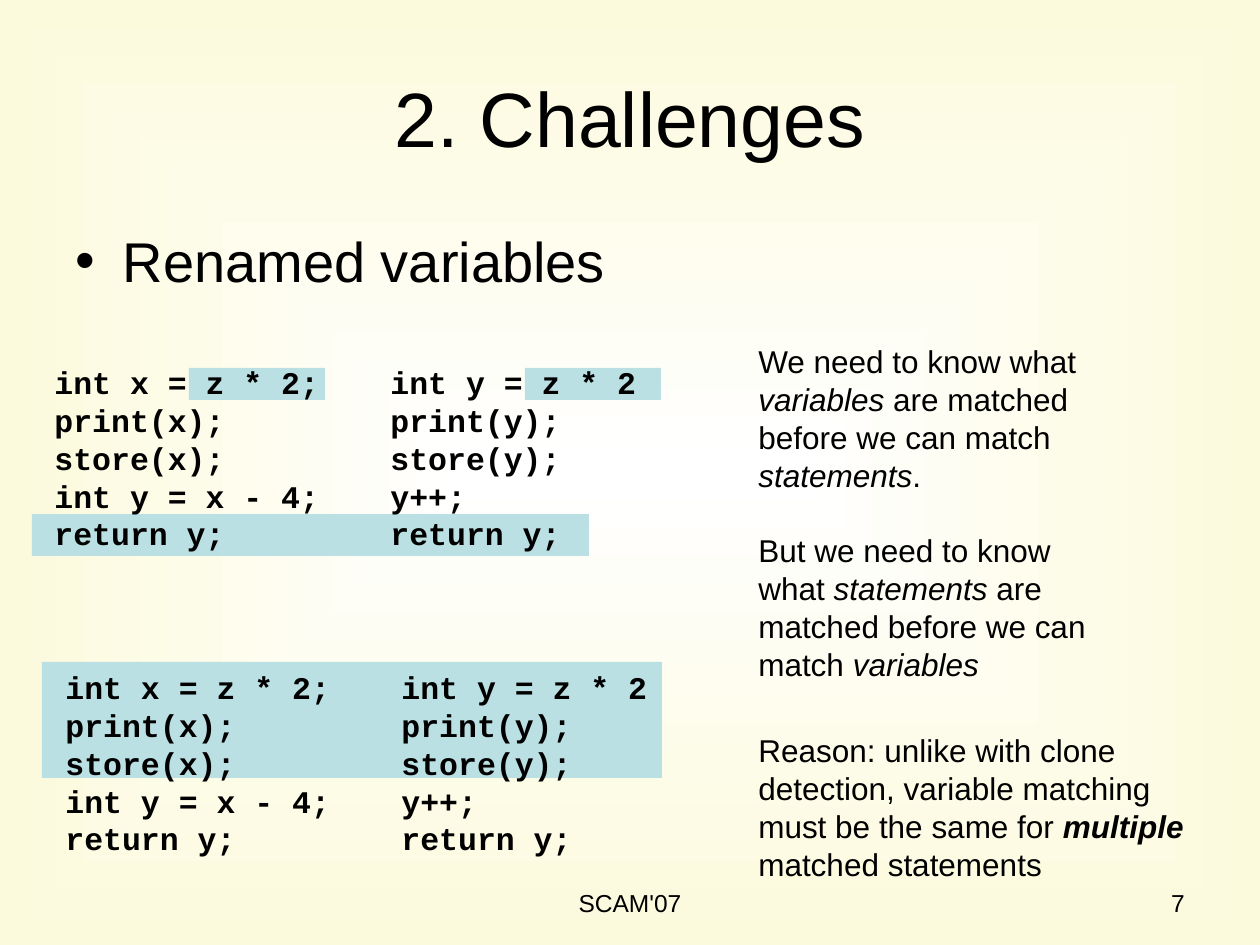
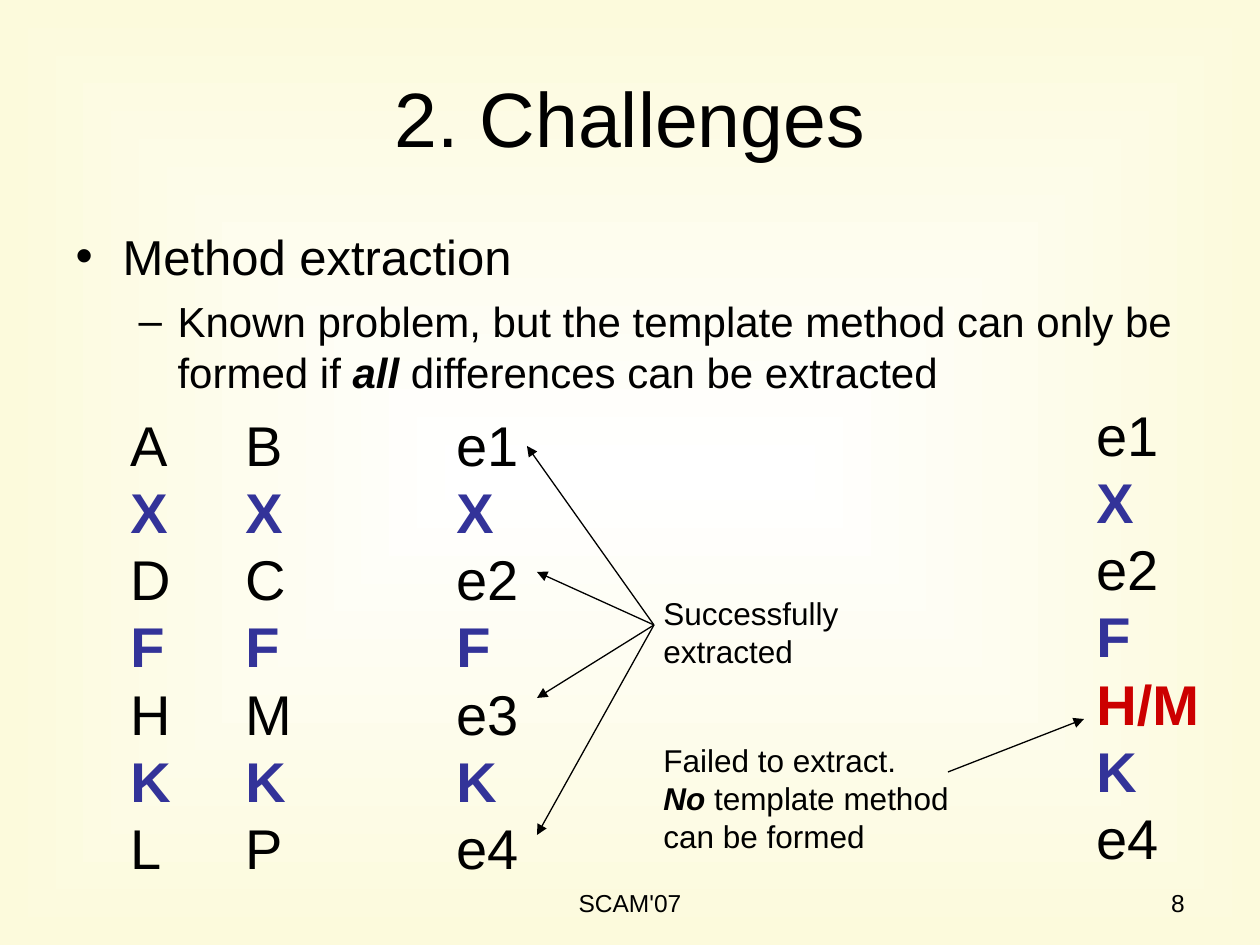
import dataclasses

import lxml.etree
import pptx
import pptx.dml.color
import pptx.enum.shapes
import pptx.enum.text
import pptx.oxml.ns
import pptx.util

qn = pptx.oxml.ns.qn
ALIGN = pptx.enum.text.PP_ALIGN
ANCHOR = pptx.enum.text.MSO_ANCHOR
PX_PER_INCH = 126


@dataclasses.dataclass(frozen=True)
class Theme:
    centre: str = "FFFFFF"
    edge: str = "FCFADC"
    ink: str = "000000"
    band: str = "BBE0E3"
    common: str = "333399"
    failed: str = "CC0000"
    sans: str = "Arial"
    mono: str = "Courier New"
    title: int = 44
    large: int = 32
    topic: int = 28
    detail: int = 24
    note: int = 18
    footer: int = 14
    line_height: float = 1.2


THEME = Theme()
FOOTER = "SCAM'07"
BODY_LEVELS = (("•", 47, 47), ("–", 102, 39))  # bullet, indent, hanging
CODE_LEFT = ("int x = z * 2;", "print(x);", "store(x);", "int y = x - 4;", "return y;")
CODE_RIGHT = ("int y = z * 2", "print(y);", "store(y);", "y++;", "return y;")


def px(length):
    return pptx.util.Emu(round(length * 914400 / PX_PER_INCH))


def rgb(colour):
    return pptx.dml.color.RGBColor.from_string(colour)


def write(para, spans, size, font=THEME.sans, colour=THEME.ink, space_before=0):
    """Add (text, style) spans; style holds b for bold and i for italic."""
    para.line_spacing = pptx.util.Pt(size * THEME.line_height)
    para.space_before = pptx.util.Pt(space_before)
    for text, style in spans:
        for number, piece in enumerate(text.split("\n")):
            if number:
                para.add_line_break()
            if piece:
                span = para.add_run()
                span.text = piece
                span.font.name = font
                span.font.size = pptx.util.Pt(size)
                span.font.bold = "b" in style
                span.font.italic = "i" in style
                span.font.color.rgb = rgb(colour)


def place(shape, left, top, width, height):
    shape.left, shape.top = px(left), px(top)
    shape.width, shape.height = px(width), px(height)


def text_paragraphs(frame, count):
    return [frame.paragraphs[0]] + [frame.add_paragraph() for _ in range(count - 1)]


def text_box(page, box, count=1):
    """Add a wrapping text box and return its paragraphs."""
    frame = page.shapes.add_textbox(*map(px, box)).text_frame
    frame.word_wrap = True
    return text_paragraphs(frame, count)


def note(page, box, *paragraphs):
    for number, (para, spans) in enumerate(
            zip(text_box(page, box, len(paragraphs)), paragraphs)):
        gap = THEME.note * THEME.line_height if number else 0
        write(para, spans, THEME.note, space_before=gap)


def arrow(page, start, end):
    line = page.shapes.add_connector(
        pptx.enum.shapes.MSO_CONNECTOR.STRAIGHT, *map(px, start + end))
    line.line.color.rgb = rgb(THEME.ink)
    line.line.width = pptx.util.Pt(0.75)
    lxml.etree.SubElement(line.line._get_or_add_ln(), qn("a:tailEnd"), {"type": "triangle"})
    lxml.etree.SubElement(line.element.spPr, qn("a:effectLst"))


def set_background(master):
    """Give the master a gradient running from the centre to the edges."""
    fill = master.background.fill
    fill.gradient()
    for stop, colour in zip(fill.gradient_stops, (THEME.centre, THEME.edge)):
        stop.color.rgb = rgb(colour)
    gradient = master.element.find(".//" + qn("a:gradFill"))
    gradient.remove(gradient.find(qn("a:lin")))
    shape = lxml.etree.SubElement(gradient, qn("a:path"), {"path": "rect"})
    lxml.etree.SubElement(shape, qn("a:fillToRect"), dict.fromkeys("ltrb", "50000"))


def fill_body(body, height, items):
    """Fill the list with (level, size, spans) items."""
    place(body, 63, 220, 1134, height)
    frame = body.text_frame
    frame.auto_size = pptx.enum.text.MSO_AUTO_SIZE.NONE
    for number, (para, (level, size, spans)) in enumerate(
            zip(text_paragraphs(frame, len(items)), items)):
        bullet, indent, hanging = BODY_LEVELS[level]
        para.level = level
        properties = para._p.get_or_add_pPr()
        properties.set("marL", str(px(indent)))
        properties.set("indent", str(-px(hanging)))
        lxml.etree.SubElement(properties, qn("a:buChar"), {"char": bullet})
        write(para, spans, size, space_before=size / 4 if number else 0)


def challenge_page(deck, number, body_height, items):
    """Add a slide with its title, list and footer."""
    page = deck.slides.add_slide(deck.slide_layouts[1])
    title = page.shapes.title
    place(title, 63, 38, 1134, 157)
    title.text_frame.vertical_anchor = ANCHOR.MIDDLE
    para = title.text_frame.paragraphs[0]
    para.alignment = ALIGN.CENTER
    write(para, [("2. Challenges", "")], THEME.title)
    fill_body(page.placeholders[1], body_height, items)
    for text, box, alignment in ((FOOTER, (431, 882, 398, 43), ALIGN.CENTER),
                                 (str(number), (903, 882, 294, 44), ALIGN.RIGHT)):
        para, = text_box(page, box)
        para.alignment = alignment
        write(para, [(text, "")], THEME.footer)
    return page


def code_pair(page, left, top, matches):
    """Set the two code fragments side by side over bands marking matches."""
    for x, y, width, height in matches:
        band = page.shapes.add_shape(
            pptx.enum.shapes.MSO_SHAPE.RECTANGLE,
            *map(px, (left + x, top + y, width, height)))
        band.shadow.inherit = False
        band.fill.solid()
        band.fill.fore_color.rgb = rgb(THEME.band)
        band.line.fill.background()
    for column, code in enumerate((CODE_LEFT, CODE_RIGHT)):
        box = (left + 336 * column, top, 336, 202)
        for para, line in zip(text_box(page, box, len(code)), code):
            write(para, [(line, "b")], THEME.note, THEME.mono)


def statement_column(page, box, statements):
    """List statements; those common to both methods stand out."""
    for para, statement in zip(text_box(page, box, len(statements)), statements):
        colour = {"X": THEME.common, "F": THEME.common, "K": THEME.common,
                  "H/M": THEME.failed}.get(statement, THEME.ink)
        style = "" if colour == THEME.ink else "b"
        write(para, [(statement, style)], THEME.large, colour=colour)


def renamed_variables(deck):
    page = challenge_page(deck, 7, 106, [(0, THEME.large, [("Renamed variables", "")])])
    code_pair(page, 42, 357, [(147, 11, 136, 32), (483, 11, 136, 32), (-10, 157, 557, 42)])
    code_pair(page, 53, 662, [(-11, 0, 620, 116)])
    note(page, (746, 336, 380, 353),
         [("We need to know what ", ""), ("variables", "i"),
          (" are matched before we can match ", ""), ("statements", "i"), (".", "")],
         [("But we need to know what ", ""), ("statements", "i"),
          (" are matched before we can match ", ""), ("variables", "i")])
    note(page, (746, 725, 454, 164),
         [("Reason: unlike with clone detection, variable matching must be the same for ", ""),
          ("multiple", "bi"), (" matched statements", "")])


def method_extraction(deck):
    page = challenge_page(deck, 8, 210, [
        (0, THEME.topic, [("Method extraction", "")]),
        (1, THEME.detail, [("Known problem, but the template method can only be formed if ", ""),
                           ("all", "bi"), (" differences can be extracted", "")])])
    for left, top, width, statements in (
            (118, 404, 72, "A X D F H K L"), (233, 404, 78, "B X C F M K P"),
            (444, 404, 96, "e1 X e2 F e3 K e4"), (1084, 394, 138, "e1 X e2 F H/M K e4")):
        statement_column(page, (left, top, width, 484), statements.split())
    for end in ((527, 446), (537, 572), (537, 698), (537, 835)):
        arrow(page, (654, 625), end)
    note(page, (651, 588, 210, 88), [("Successfully\nextracted", "")])
    arrow(page, (948, 772), (1084, 719))
    note(page, (651, 735, 324, 126),
         [("Failed to extract.\n", ""), ("No", "bi"),
          (" template method\ncan be formed", "")])


def main():
    deck = pptx.Presentation()
    deck.slide_width, deck.slide_height = px(1260), px(945)
    set_background(deck.slide_master)
    renamed_variables(deck)
    method_extraction(deck)
    deck.save("out.pptx")


if __name__ == "__main__":
    main()
